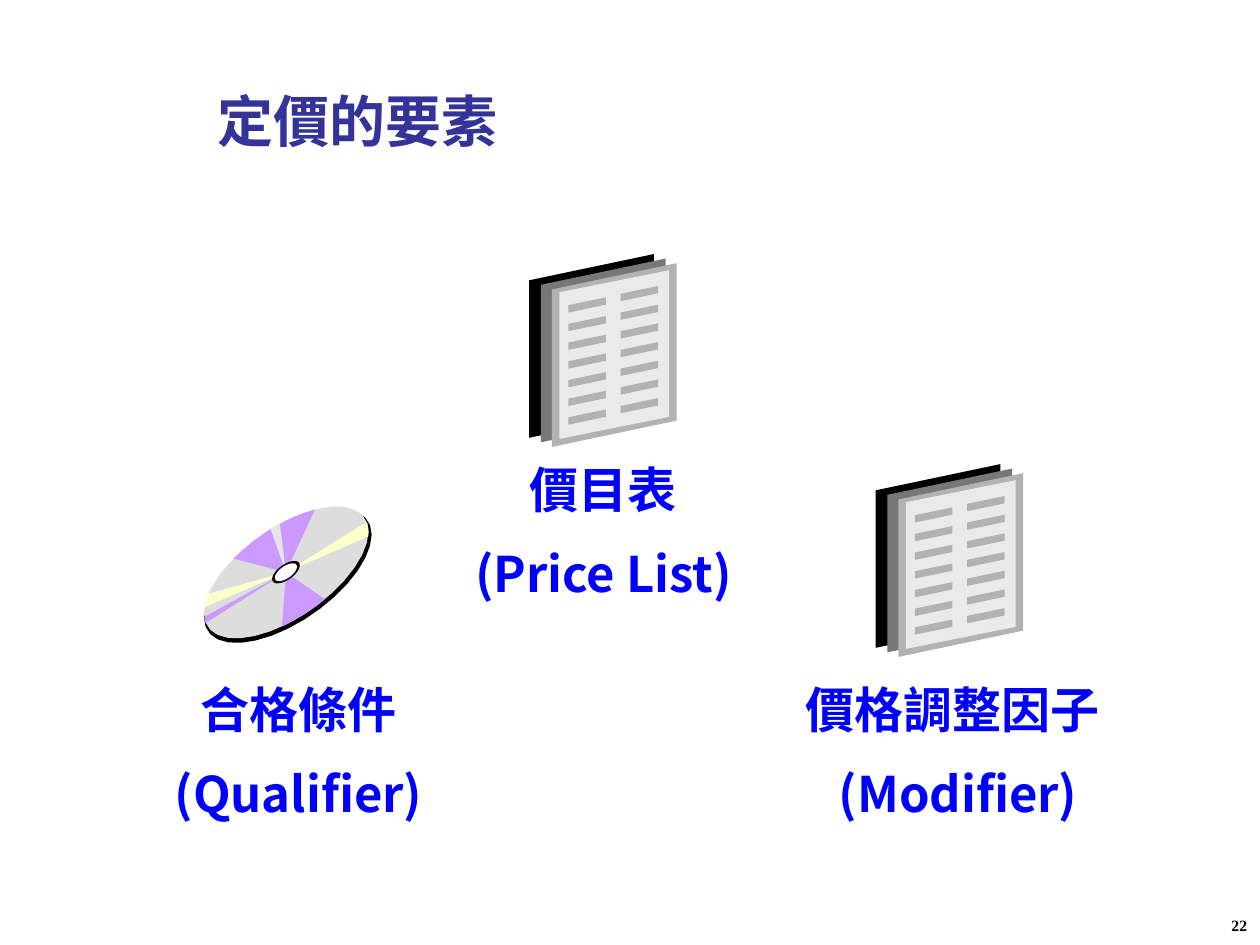
from math import cos, radians

from lxml import etree
from pptx import Presentation
from pptx.dml.color import RGBColor
from pptx.enum import text as t
from pptx.oxml.ns import qn
from pptx.util import Pt

SANS = "Noto Sans CJK SC"
SERIF = "Times New Roman"
SKEW = 128  # phase between x and y that tilts the disc


def color(value):
    return RGBColor.from_string(value)


def place(shape, box):
    shape.left, shape.top, shape.width, shape.height = map(Pt, box)


def write(shape, lines, size, fill, font=SANS, align=t.PP_ALIGN.CENTER,
          anchor=t.MSO_ANCHOR.TOP, before=0, spacing=None):
    """Fill a shape with bold paragraphs, one for each line."""
    frame = shape.text_frame
    frame.word_wrap = True
    frame.auto_size = t.MSO_AUTO_SIZE.NONE
    frame.vertical_anchor = anchor
    for index, line in enumerate(lines):
        paragraph = frame.add_paragraph() if index else frame.paragraphs[0]
        paragraph.alignment = align
        if index:
            paragraph.space_before = Pt(before)
        if spacing:
            paragraph.line_spacing = spacing
        run = paragraph.add_run()
        run.text = line
        run.font.size = Pt(size)
        run.font.bold = True
        run.font.color.rgb = color(fill)
        run.font.name = font
        east_asian = etree.SubElement(run.font._element, qn("a:ea"))
        east_asian.set("typeface", font)


def polygon(group, points, fill):
    points = [(Pt(x), Pt(y)) for x, y in points]
    builder = group.shapes.build_freeform(*points[0])
    builder.add_line_segments(points[1:], close=True)
    shape = builder.convert_to_shape()
    shape.shadow.inherit = False
    shape.fill.solid()
    shape.fill.fore_color.rgb = color(fill)
    shape.line.fill.background()


def slanted(group, left, top, width, side, rise, fill):
    """Draw a parallelogram with upright sides and a rising top edge."""
    right = left + width
    polygon(group, [(right, top + side), (right, top), (left, top + rise),
                    (left, top + rise + side)], fill)


def add_document(slide, left, top):
    group = slide.shapes.add_group_shape()
    # Stacked sheets and the page on top
    for dx, dy, fill in ((0, 0, "000000"), (6.6, 2.6, "777777"),
                         (13, 5.2, "B2B2B2")):
        slanted(group, left + dx, top + dy, 71.3, 90, 15, fill)
    slanted(group, left + 17.2, top + 9.2, 62.8, 83.8, 12.6, "EAEAEA")
    # Two columns of text bars
    for dx, dy in ((22.4, 24.7), (52.3, 18.2)):
        for row in range(7):
            slanted(group, left + dx, top + dy + row * 10.68,
                    21.4, 4.2, 4.5, "B2B2B2")


def rim(box, start=0, end=360, steps=32):
    """Points along the tilted ellipse that fits the box."""
    left, top, width, height = box
    angles = [start + (end - start) * i / steps for i in range(steps + 1)]
    return [(left + width / 2 * (1 + cos(radians(angle))),
             top + height / 2 * (1 + cos(radians(angle + SKEW))))
            for angle in angles]


def add_disc(slide, left, top):
    group = slide.shapes.add_group_shape()
    face = (left, top, 94, 75.4)
    # Edge and face
    polygon(group, rim((left, top + 1.4, 95.8, 76.6))[:-1], "000000")
    polygon(group, rim(face)[:-1], "DDDDDD")
    # Reflections
    center = (left + 46.8, top + 37.6)
    for start, end, fill in (
            (184.5, 192, "CC99FF"), (69.5, 130, "CC99FF"),
            (-5, 12, "FFFFCC"), (94.5, 101, "E5E5E5"),
            (161, 174, "FFFFCC"), (-93, -62, "CC99FF")):
        polygon(group, [center] + rim(face, start, end, 8), fill)
    # Hub
    for width, height, fill in ((15.8, 12.8, "000000"),
                                (12.6, 10.2, "FFFFFF")):
        hub = (center[0] - width / 2, center[1] - height / 2, width, height)
        polygon(group, rim(hub)[:-1], fill)


def add_caption(slide, box, lines):
    shape = slide.shapes.add_textbox(*map(Pt, box))
    write(shape, lines, 28, "0000FF", before=14)


def add_title(slide, box, title):
    shape = slide.shapes.title
    place(shape, box)
    write(shape, [title], 32, "333399", anchor=t.MSO_ANCHOR.MIDDLE)


def add_page_number(slide, box, number):
    shape = slide.shapes.add_textbox(*map(Pt, box))
    write(shape, [number], 9, "000000", font=SERIF,
          align=t.PP_ALIGN.RIGHT, spacing=1.3)


def main():
    presentation = Presentation()
    presentation.slide_width, presentation.slide_height = Pt(720), Pt(540)
    slide = presentation.slides.add_slide(presentation.slide_layouts[5])

    add_title(slide, (20, 43.2, 368.6, 51), "定價的要素")
    add_page_number(slide, (686, 516.4, 33.8, 20.2), "22")

    # Price list
    add_document(slide, 302.4, 145.2)
    add_caption(slide, (262, 259.2, 165.6, 90.7), ["價目表", "(Price List)"])
    # Qualifier
    add_disc(slide, 116.6, 289.4)
    add_caption(slide, (87.8, 384.9, 165.6, 90.7), ["合格條件", "(Qualifier)"])
    # Modifier
    add_document(slide, 500.4, 265.2)
    add_caption(slide, (450.7, 384.9, 187.2, 90.7),
                ["價格調整因子", " (Modifier)"])

    presentation.save("out.pptx")


if __name__ == "__main__":
    main()
